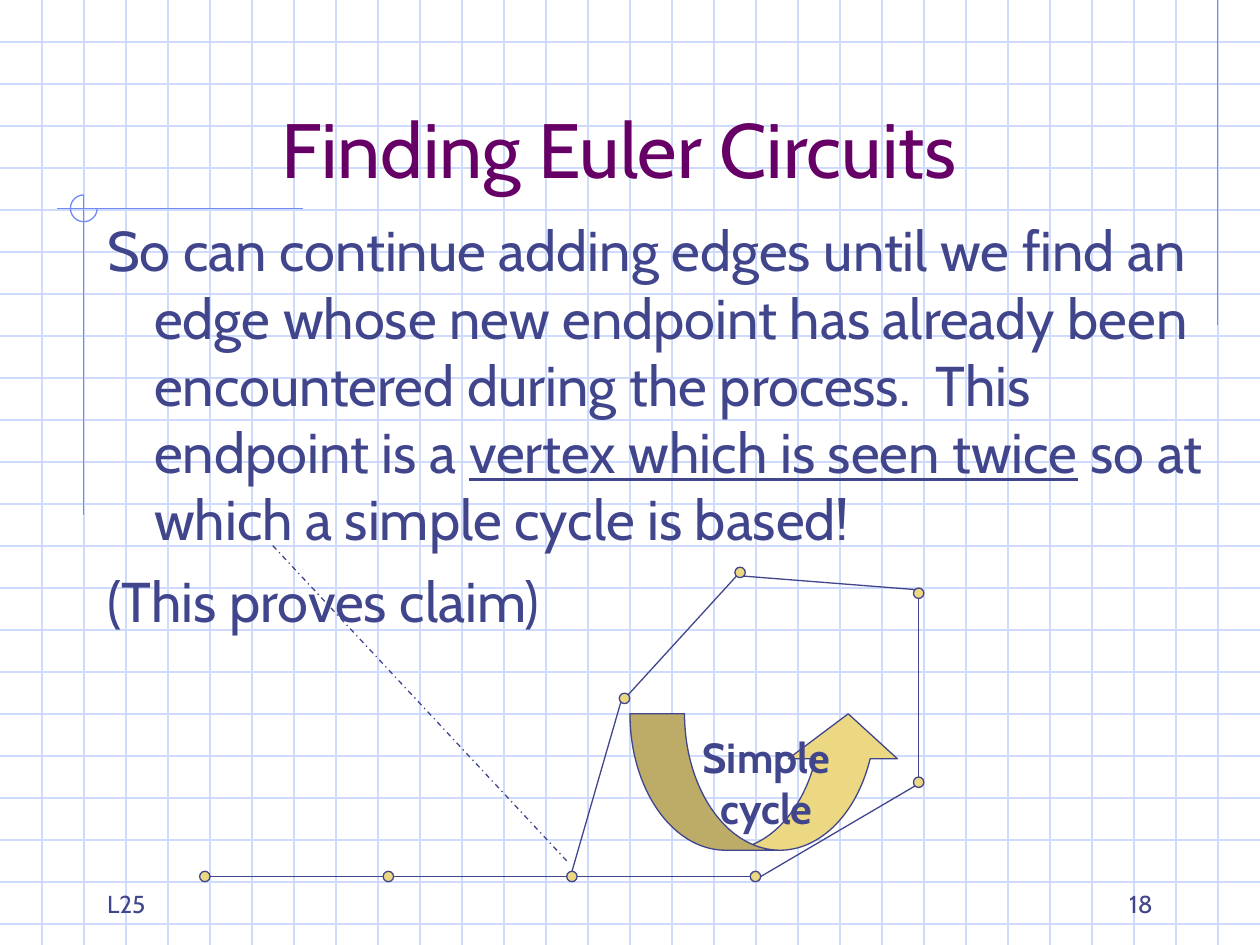
from dataclasses import dataclass
from lxml import etree
from pptx import Presentation
from pptx.dml.color import RGBColor
from pptx.enum.dml import MSO_LINE
from pptx.enum.shapes import MSO_CONNECTOR, MSO_SHAPE
from pptx.enum.text import MSO_ANCHOR, MSO_AUTO_SIZE, PP_ALIGN
from pptx.oxml.ns import qn
from pptx.util import Cm, Pt

STRAIGHT = MSO_CONNECTOR.STRAIGHT
DASH_DOT = MSO_LINE.DASH_DOT
LEFT, CENTER, RIGHT = PP_ALIGN.LEFT, PP_ALIGN.CENTER, PP_ALIGN.RIGHT
TOP, MIDDLE, BOTTOM = MSO_ANCHOR.TOP, MSO_ANCHOR.MIDDLE, MSO_ANCHOR.BOTTOM

COLORS = {"grid": "CFDBFD", "accent": "6F89F7", "title": "660066",
          "ink": "40458C", "sand": "ECD882"}
FONT = "Cabin"
WIDTH, HEIGHT = 25.4, 19.05
GRID_STEP = WIDTH / 30
DOT = 0.21
DIAGONAL = 0.71
SITES = {"top": (0, -1), "bottom": (0, 1), "left": (-1, 0), "right": (1, 0),
         "top left": (-DIAGONAL, -DIAGONAL), "top right": (DIAGONAL, -DIAGONAL),
         "bottom left": (-DIAGONAL, DIAGONAL), "bottom right": (DIAGONAL, DIAGONAL)}


@dataclass
class Vertex:
    x: float
    y: float

    def site(self, name: str) -> tuple[float, float]:
        across, down = SITES[name]
        return self.x + across * DOT / 2, self.y + down * DOT / 2


@dataclass
class Edge:
    start: Vertex
    start_site: str
    end: Vertex
    end_site: str


PATH = [Vertex(4.13 + 3.7 * i, 17.67) for i in range(4)]
LOWER_RIGHT = Vertex(18.52, 15.77)
UPPER_RIGHT = Vertex(18.52, 11.96)
PEAK = Vertex(14.92, 11.54)
LEFT_CORNER = Vertex(12.59, 14.08)
VERTICES = PATH + [LOWER_RIGHT, UPPER_RIGHT, PEAK, LEFT_CORNER]
EDGES = [Edge(a, "right", b, "left") for a, b in zip(PATH, PATH[1:])] + [
    Edge(PATH[3], "right", LOWER_RIGHT, "bottom left"),
    Edge(LOWER_RIGHT, "top", UPPER_RIGHT, "bottom"),
    Edge(PEAK, "bottom right", UPPER_RIGHT, "top left"),
    Edge(LEFT_CORNER, "top right", PEAK, "bottom left"),
    Edge(LEFT_CORNER, "bottom left", PATH[2], "top"),
]


def color(name: str) -> RGBColor:
    return RGBColor.from_string(COLORS[name])


def draw_line(page, start: tuple, end: tuple, ink: str, dash=None) -> None:
    line = page.shapes.add_connector(STRAIGHT, *map(Cm, start + end))
    line.line.color.rgb = color(ink)
    line.line.width = Pt(0.75)
    if dash:
        line.line.dash_style = dash
    etree.SubElement(line.element.spPr, qn("a:effectLst"))


def draw_shape(page, preset, left: float, top: float, width: float, height: float,
               ink: str, fill: str = ""):
    shape = page.shapes.add_shape(preset, *map(Cm, (left, top, width, height)))
    shape.shadow.inherit = False
    shape.line.color.rgb = color(ink)
    shape.line.width = Pt(0.75)
    if fill:
        shape.fill.solid()
        shape.fill.fore_color.rgb = color(fill)
    else:
        shape.fill.background()
    return shape


def write(box, paragraphs: list, size: int, ink: str = "ink", align=LEFT,
          anchor=TOP, bold: bool = False, wrap: bool = True) -> list:
    frame = box.text_frame
    frame.auto_size = MSO_AUTO_SIZE.NONE
    frame.word_wrap = wrap
    frame.vertical_anchor = anchor
    for i, text in enumerate(paragraphs):
        para = frame.add_paragraph() if i else frame.paragraphs[0]
        para.text = text
        para.alignment = align
        para.font.name = FONT
        para.font.size = Pt(size)
        para.font.bold = bold
        para.font.color.rgb = color(ink)
    return list(frame.paragraphs)


def add_box(page, left: float, top: float, width: float, height: float):
    return page.shapes.add_textbox(*map(Cm, (left, top, width, height)))


def draw_background(page) -> None:
    for i in range(1, 23):
        draw_line(page, (0, i * GRID_STEP), (WIDTH, i * GRID_STEP), "grid")
    for i in range(1, 30):
        draw_line(page, (i * GRID_STEP, 0), (i * GRID_STEP, HEIGHT), "grid")
    draw_line(page, (24.55, 0), (24.55, 6.55), "accent")
    draw_line(page, (6.1, 4.2), (1.15, 4.2), "accent")
    draw_line(page, (1.69, 3.93), (1.69, 10.39), "accent")
    arc = draw_shape(page, MSO_SHAPE.ARC, 1.42, 3.93, 0.54, 0.54, "accent")
    arc.adjustments[0] = 0
    arc.adjustments[1] = 162


def draw_title(page) -> None:
    title = page.shapes.title
    page.shapes.element.append(title.element)
    title.left, title.top, title.width, title.height = map(Cm, (1.69, 0.85, 21.59, 3.18))
    write(title, ["Finding Euler Circuits"], 44, "title", CENTER, BOTTOM)


def draw_body(page) -> None:
    claim, proof = write(add_box(page, 1.91, 4.23, 22.86, 14.18),
                         ["", "(This proves claim)"], 32)
    claim.add_run().text = ("So can continue adding edges until we find an edge whose new "
                            "endpoint has already been encountered during the process.  "
                            "This endpoint is a ")
    span = claim.add_run()
    span.text = "vertex which is seen twice"
    span.font.underline = True
    claim.add_run().text = " so at which a simple cycle is based!"
    proof.space_before = Pt(8)
    for para in (claim, proof):
        properties = para._p.get_or_add_pPr()
        properties.set("marL", str(Cm(0.95)))
        properties.set("indent", str(-Cm(0.95)))


def draw_graph(page) -> None:
    for edge in EDGES:
        draw_line(page, edge.start.site(edge.start_site), edge.end.site(edge.end_site), "ink")
    for vertex in VERTICES:
        draw_shape(page, MSO_SHAPE.OVAL, vertex.x - DOT / 2, vertex.y - DOT / 2,
                   DOT, DOT, "ink", "sand")
    draw_line(page, (5.5, 11), (11.43, 17.36), "ink", DASH_DOT)
    arrow = draw_shape(page, MSO_SHAPE.CURVED_UP_ARROW, 12.7, 14.39, 5.5, 2.75, "ink", "sand")
    for i, value in enumerate((0.4, 0.8, 0.33)):
        arrow.adjustments[i] = value
    write(arrow, ["Simple", "cycle"], 24, align=CENTER, anchor=MIDDLE, bold=True, wrap=False)


def main() -> None:
    deck = Presentation()
    deck.slide_width, deck.slide_height = Cm(WIDTH), Cm(HEIGHT)
    page = deck.slides.add_slide(deck.slide_layouts[5])
    draw_background(page)
    draw_title(page)
    draw_body(page)
    draw_graph(page)
    write(add_box(page, 18.2, 17.36, 5.29, 1.27), ["18"], 14, align=RIGHT, anchor=BOTTOM)
    write(add_box(page, 1.91, 17.36, 5.29, 1.27), ["L25"], 14, anchor=BOTTOM)
    deck.save("out.pptx")


if __name__ == "__main__":
    main()
